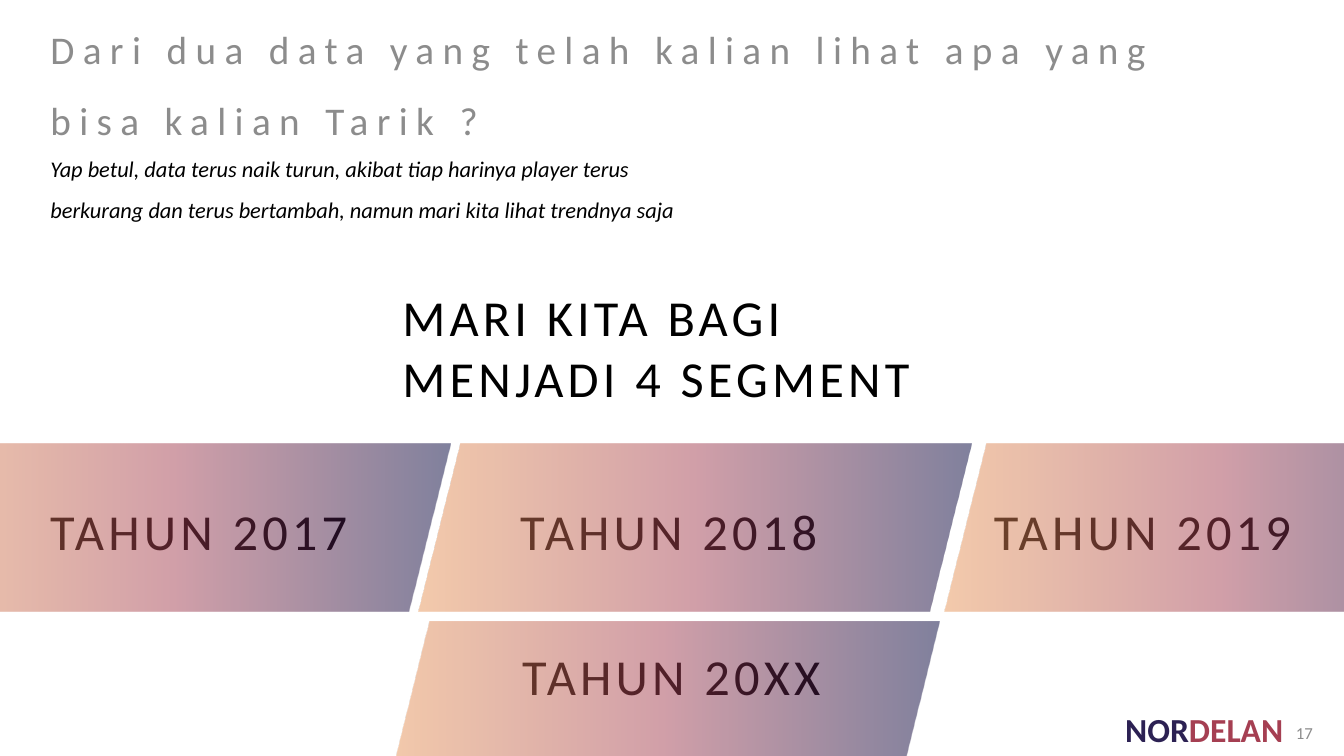
from dataclasses import dataclass

from lxml import etree
from pptx import Presentation
from pptx.dml.color import RGBColor
from pptx.enum.shapes import MSO_SHAPE
from pptx.enum.text import MSO_ANCHOR, MSO_AUTO_SIZE, PP_ALIGN
from pptx.oxml.ns import qn
from pptx.util import Inches, Pt

PARALLELOGRAM = MSO_SHAPE.PARALLELOGRAM
MIDDLE, TOP = MSO_ANCHOR.MIDDLE, MSO_ANCHOR.TOP
LEFT, RIGHT = PP_ALIGN.LEFT, PP_ALIGN.RIGHT
NO_AUTOFIT = MSO_AUTO_SIZE.NONE


@dataclass(frozen=True)
class Theme:
    font: str = "Calibri"
    black: str = "000000"
    grey: str = "8C8C8C"
    navy: str = "2C2153"
    rose: str = "A53F52"
    gradient: tuple = ((0, "01023B"), (50, "A53F52"), (100, "E99757"))
    gradient_alpha: int = 50
    gradient_angle: int = 180
    heading: int = 36
    question: int = 28
    brand: int = 24
    answer: int = 16
    number: int = 12


THEME = Theme()
BAND_WIDTH, BAND_HEIGHT = 5.48, 1.67
LABEL_WIDTH, LABEL_HEIGHT = 5.74, 1.82
ROW_TOP, LOWER_TOP = 4.4, 6.17
SEGMENTS = (
    ("TAHUN 2017", -1.01, ROW_TOP, 1.41, -0.05),
    ("TAHUN 2018", 4.15, ROW_TOP, 0.91, -0.05),
    ("TAHUN 2019", 9.37, ROW_TOP, 0.39, -0.05),
    ("TAHUN 20XX", 3.84, LOWER_TOP, 1.24, -0.38),
)


def set_attributes(target, values):
    for name, value in values.items():
        setattr(target, name, value)


def place(shape, box):
    names = ("left", "top", "width", "height")
    set_attributes(shape, dict(zip(names, map(Inches, box))))


def add_text_box(slide, box):
    return slide.shapes.add_textbox(*map(Inches, box))


def write_text(shape, runs, size, anchor=MIDDLE, align=LEFT, line_spacing=1.0,
               tracking=0, wrap=True, bold=False, italic=False):
    frame = shape.text_frame
    set_attributes(frame, {"word_wrap": wrap, "auto_size": NO_AUTOFIT,
                           "vertical_anchor": anchor})
    paragraph = frame.paragraphs[0]
    set_attributes(paragraph, {"alignment": align, "line_spacing": line_spacing,
                               "space_before": Pt(0)})
    if shape.is_placeholder:
        properties = paragraph._p.get_or_add_pPr()
        properties.set("marL", "0")
        properties.set("indent", "0")
        etree.SubElement(properties, qn("a:buNone"))
    for text, color in runs:
        run = paragraph.add_run()
        run.text = text
        set_attributes(run.font, {"name": THEME.font, "size": Pt(size),
                                  "bold": bold, "italic": italic})
        run.font.color.rgb = RGBColor.from_string(color)
        if tracking:
            run._r.get_or_add_rPr().set("spc", str(tracking * 100))


def fill_gradient(shape):
    shape.fill.gradient()
    gradient = shape._element.spPr.find(qn("a:gradFill"))
    for child in list(gradient):
        gradient.remove(child)
    stops = etree.SubElement(gradient, qn("a:gsLst"))
    for position, color in THEME.gradient:
        stop = etree.SubElement(stops, qn("a:gs"), pos=str(position * 1000))
        value = etree.SubElement(stop, qn("a:srgbClr"), val=color)
        etree.SubElement(value, qn("a:alpha"), val=str(THEME.gradient_alpha * 1000))
    etree.SubElement(gradient, qn("a:lin"),
                     ang=str(THEME.gradient_angle * 60000), scaled="0")


def add_introduction(slide, box):
    left, top, width, height = box
    question, answer = slide.placeholders[1], slide.placeholders[2]
    place(question, (left, top, width, height))
    write_text(question, [("Dari dua data yang telah kalian lihat apa yang bisa "
                           "kalian Tarik ?", THEME.grey)],
               THEME.question, line_spacing=1.5, tracking=6)
    place(answer, (left, top + 1.01, 6.61, 1.2))
    write_text(answer, [("Yap betul, data terus naik turun, akibat tiap harinya "
                         "player terus berkurang dan terus bertambah, namun mari "
                         "kita lihat trendnya saja", THEME.black)],
               THEME.answer, anchor=TOP, line_spacing=1.5, italic=True)


def add_heading(slide, box):
    title = slide.shapes.title
    place(title, box)
    write_text(title, [("MARI KITA BAGI MENJADI 4 SEGMENT", THEME.black)],
               THEME.heading, tracking=3)


def add_segment(slide, box, text, label_left, label_top):
    left, top, width, height = box
    label = add_text_box(slide, (left + label_left, top + label_top,
                                 LABEL_WIDTH, LABEL_HEIGHT))
    write_text(label, [(text, THEME.black)], THEME.heading, tracking=3)
    band = slide.shapes.add_shape(PARALLELOGRAM, *map(Inches, box))
    band.shadow.inherit = False
    band.line.fill.background()
    fill_gradient(band)


def add_footer(slide, box):
    left, top, width, height = box
    brand = add_text_box(slide, (left, top, 1.53, 0.45))
    margins = ("margin_left", "margin_top", "margin_right", "margin_bottom")
    set_attributes(brand.text_frame, dict.fromkeys(margins, Inches(0.02)))
    write_text(brand, [("NOR", THEME.navy), ("DELAN", THEME.rose)],
               THEME.brand, wrap=False, bold=True)
    number = add_text_box(slide, (left + width - 0.49, top + 0.06, 0.49, 0.4))
    write_text(number, [("17", THEME.grey)], THEME.number, align=RIGHT)


def main():
    presentation = Presentation()
    set_attributes(presentation, {"slide_width": Inches(13.33),
                                  "slide_height": Inches(7.5)})
    slide = presentation.slides.add_slide(presentation.slide_layouts[3])
    add_introduction(slide, (0.4, 0.35, 11.83, 0.74))
    add_heading(slide, (3.89, 2.53, 5.74, 1.82))
    for text, left, top, label_left, label_top in SEGMENTS:
        add_segment(slide, (left, top, BAND_WIDTH, BAND_HEIGHT),
                    text, label_left, label_top)
    add_footer(slide, (11.14, 7.01, 1.98, 0.46))
    presentation.save("out.pptx")


if __name__ == "__main__":
    main()
